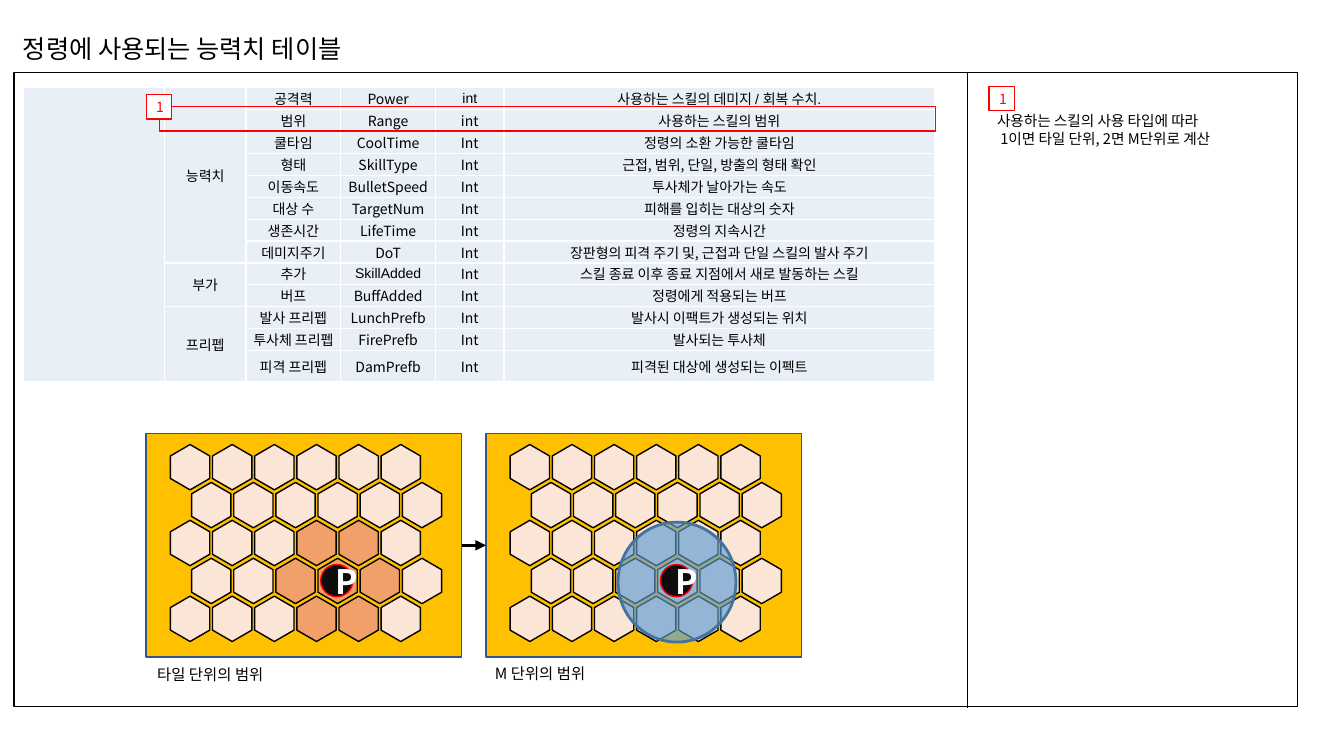
from dataclasses import dataclass

from lxml import etree
from pptx import Presentation
from pptx.dml.color import RGBColor
from pptx.enum.shapes import MSO_CONNECTOR, MSO_SHAPE
from pptx.enum.text import MSO_ANCHOR, PP_ALIGN
from pptx.oxml.ns import qn
from pptx.util import Inches, Pt

RECTANGLE, HEXAGON, OVAL = MSO_SHAPE.RECTANGLE, MSO_SHAPE.HEXAGON, MSO_SHAPE.OVAL
STRAIGHT = MSO_CONNECTOR.STRAIGHT
LEFT, CENTER = PP_ALIGN.LEFT, PP_ALIGN.CENTER
MIDDLE = MSO_ANCHOR.MIDDLE


@dataclass(frozen=True)
class Theme:
    font: str = "Noto Sans CJK KR"
    plain_font: str = "Arial"
    black: str = "000000"
    white: str = "FFFFFF"
    red: str = "FF0000"
    cell: str = "E9EFF7"
    board: str = "FFC000"
    board_line: str = "325491"
    tile: str = "FBE5D6"
    tile_in_range: str = "F1A069"
    token: str = "0D0D0D"
    radius: str = "5B9BD5"
    radius_line: str = "43739E"
    title_size: float = 18
    token_size: float = 24
    caption_size: float = 11
    note_size: float = 10.5
    small_size: float = 10


theme = Theme()
presentation = Presentation()
presentation.slide_width = Inches(13.33)
presentation.slide_height = Inches(7.5)
slide = presentation.slides.add_slide(presentation.slide_layouts[6])


def write(frame, lines, size, color=theme.black, align=LEFT, font=theme.font, bold=False):
    """Fill a text frame with one paragraph per line."""
    frame.word_wrap = True
    for index, line in enumerate(lines):
        paragraph = frame.add_paragraph() if index else frame.paragraphs[0]
        paragraph.alignment = align
        run = paragraph.add_run()
        run.text = line
        run.font.size = Pt(size)
        run.font.bold = bold
        run.font.name = font
        run.font.color.rgb = RGBColor.from_string(color)
        east_asian = etree.SubElement(run.font._element, qn("a:ea"))
        east_asian.set("typeface", theme.font)


def add_box(kind, left, top, width, height, fill, line, weight=1):
    """Add a preset shape; a fill of None leaves it hollow."""
    shape = slide.shapes.add_shape(kind, Inches(left), Inches(top), Inches(width), Inches(height))
    shape.shadow.inherit = False
    if fill:
        shape.fill.solid()
        shape.fill.fore_color.rgb = RGBColor.from_string(fill)
    else:
        shape.fill.background()
    shape.line.color.rgb = RGBColor.from_string(line)
    shape.line.width = Pt(weight)
    return shape


# Ability table
abilities = [
    ("공격력", "Power", "int", "사용하는 스킬의 데미지 / 회복 수치."),
    ("범위", "Range", "int", "사용하는 스킬의 범위"),
    ("쿨타임", "CoolTime", "Int", "정령의 소환 가능한 쿨타임"),
    ("형태", "SkillType", "Int", "근접, 범위, 단일, 방출의 형태 확인"),
    ("이동속도", "BulletSpeed", "Int", "투사체가 날아가는 속도"),
    ("대상 수", "TargetNum", "Int", "피해를 입히는 대상의 숫자"),
    ("생존시간", "LifeTime", "Int", "정령의 지속시간"),
    ("데미지주기", "DoT", "Int", "장판형의 피격 주기 및, 근접과 단일 스킬의 발사 주기"),
    ("추가", "SkillAdded", "Int", "스킬 종료 이후 종료 지점에서 새로 발동하는 스킬"),
    ("버프", "BuffAdded", "Int", "정령에게 적용되는 버프"),
    ("발사 프리펩", "LunchPrefb", "Int", "발사시 이팩트가 생성되는 위치"),
    ("투사체 프리펩", "FirePrefb", "Int", "발사되는 투사체"),
    ("피격 프리펩", "DamPrefb", "Int", "피격된 대상에 생성되는 이펙트"),
]
groups = {0: ("능력치", 8), 8: ("부가", 2), 10: ("프리펩", 3)}
plain_cells = {(0, 1), (0, 2), (0, 4), (0, 5), (8, 1), (8, 3), (8, 5)}
column_widths = [1.4, 0.81, 0.94, 0.94, 0.68, 4.27]
table_height = 2.83

table = slide.shapes.add_table(
    len(abilities), len(column_widths), Inches(0.23), Inches(0.87),
    Inches(sum(column_widths)), Inches(table_height)).table
table.first_row = False
table.horz_banding = False
for column, width in zip(table.columns, column_widths):
    column.width = Inches(width)
for row in table.rows:
    row.height = Inches(table_height / len(abilities))
table.rows[len(abilities) - 1].height = Inches(0.31)

for row_index, ability in enumerate(abilities):
    group_name = groups[row_index][0] if row_index in groups else ""
    for column_index, text in enumerate(("", group_name, *ability)):
        cell = table.cell(row_index, column_index)
        cell.fill.solid()
        cell.fill.fore_color.rgb = RGBColor.from_string(theme.cell)
        cell.vertical_anchor = MIDDLE
        cell.margin_left = cell.margin_right = cell.margin_top = cell.margin_bottom = 0
        if text:
            plain = (row_index, column_index) in plain_cells
            write(cell.text_frame, [text], theme.small_size, align=CENTER,
                  font=theme.plain_font if plain else theme.font)
        else:
            end_mark = etree.SubElement(cell.text_frame.paragraphs[0]._p, qn("a:endParaRPr"))
            end_mark.set("sz", str(theme.small_size * 100))
table.cell(0, 0).merge(table.cell(len(abilities) - 1, 0))
for first_row, (_, row_count) in groups.items():
    table.cell(first_row, 1).merge(table.cell(first_row + row_count - 1, 1))

# Page frame
add_box(RECTANGLE, 0.14, 0.72, 12.73, 6.29, None, theme.black)

# Hexagon boards
board_top = 4.3
board_lefts = [1.45, 4.82]
tiles_in_range = {(2, 3), (2, 4), (3, 2), (3, 3), (3, 4), (4, 3), (4, 4)}
for board_index, board_left in enumerate(board_lefts):
    add_box(RECTANGLE, board_left, board_top, 3.13, 2.22, theme.board, theme.board_line)
    for row_index in range(5):
        for column_index in range(6):
            in_range = board_index == 0 and (row_index, column_index) in tiles_in_range
            tile = add_box(
                HEXAGON,
                board_left + 0.21 + 0.418 * column_index + 0.21 * (row_index % 2),
                board_top + 0.14 + 0.376 * row_index, 0.45, 0.39,
                theme.tile_in_range if in_range else theme.tile, theme.black)
            tile.adjustments[0] = 0.29
            tile.rotation = 270

radius = add_box(OVAL, 6.13, 5.18, 1.17, 1.19, theme.radius, theme.radius_line, 2)
radius_color = radius.fill._xPr.find(qn("a:solidFill")).find(qn("a:srgbClr"))
etree.SubElement(radius_color, qn("a:alpha")).set("val", "64000")

for board_left in board_lefts:
    token = add_box(OVAL, board_left + 1.73, board_top + 1.3, 0.32, 0.32, theme.token, theme.red)
    token.text_frame.vertical_anchor = MIDDLE
    write(token.text_frame, ["P"], theme.token_size, theme.white, CENTER, bold=True)

# Panel divider and arrow between the boards
for start_x, start_y, end_x, end_y, weight, has_arrowhead in [
    (9.6, 0.72, 9.6, 7.02, 0.75, False),
    (4.58, 5.41, 4.82, 5.41, 2.5, True),
]:
    connector = slide.shapes.add_connector(
        STRAIGHT, Inches(start_x), Inches(start_y), Inches(end_x), Inches(end_y))
    connector.line.color.rgb = RGBColor.from_string(theme.black)
    connector.line.width = Pt(weight)
    if has_arrowhead:
        etree.SubElement(connector.line._get_or_add_ln(), qn("a:tailEnd")).set("type", "triangle")
    etree.SubElement(connector._element.spPr, qn("a:effectLst"))

# Highlighted table row and its numbered markers
add_box(RECTANGLE, 1.58, 1.06, 7.7, 0.24, None, theme.red)
for left, top in [(1.45, 0.94), (9.81, 0.86)]:
    marker = add_box(RECTANGLE, left, top, 0.25, 0.24, theme.white, theme.red)
    marker.text_frame.vertical_anchor = MIDDLE
    write(marker.text_frame, ["1"], theme.small_size, theme.red, CENTER)

# Title, side note and board captions
for left, top, width, height, size, lines in [
    (0.13, 0.28, 6.67, 0.4, theme.title_size, ["정령에 사용되는 능력치 테이블"]),
    (9.79, 1.06, 3.08, 0.45, theme.note_size,
     ["사용하는 스킬의 사용 타입에 따라", " 1이면 타일 단위, 2면 M단위로 계산"]),
    (1.46, 6.55, 3.44, 0.29, theme.caption_size, ["타일 단위의 범위"]),
    (4.81, 6.54, 3.44, 0.29, theme.caption_size, ["M 단위의 범위"]),
]:
    text_box = slide.shapes.add_textbox(Inches(left), Inches(top), Inches(width), Inches(height))
    write(text_box.text_frame, lines, size)

presentation.save("out.pptx")
